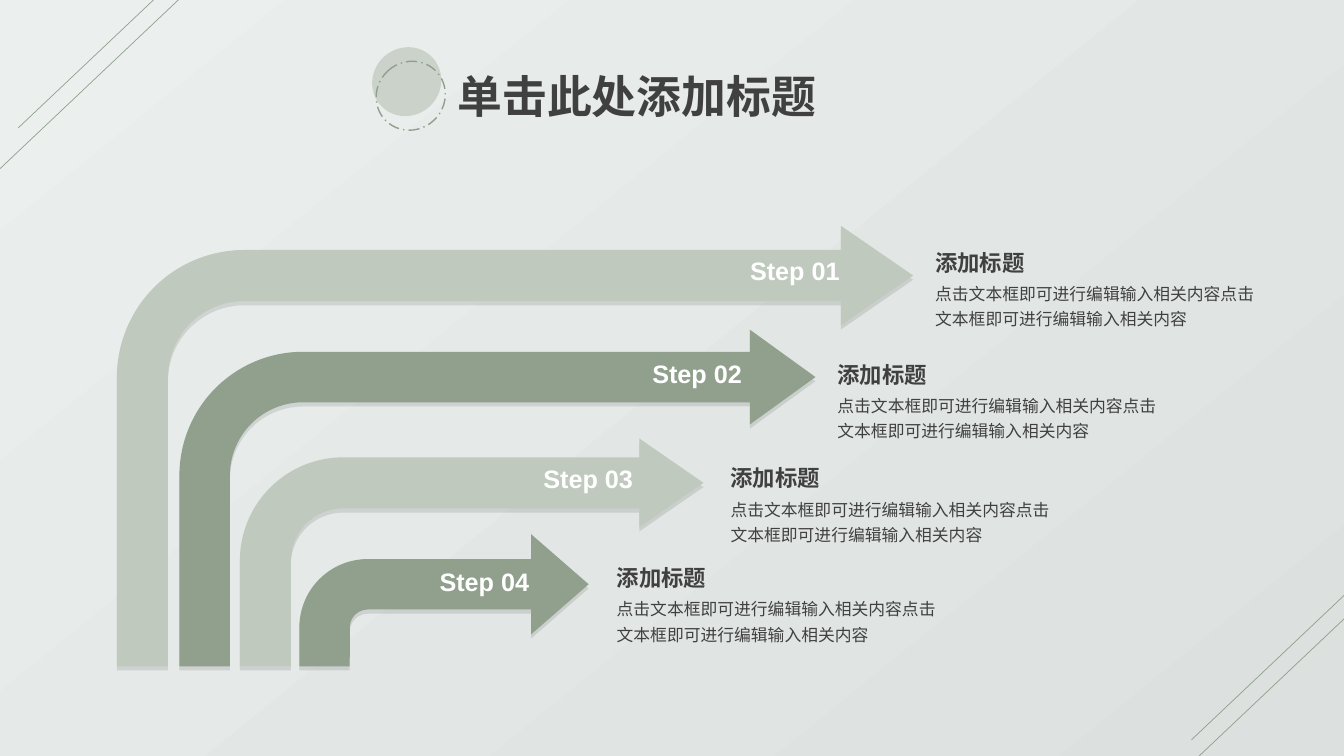
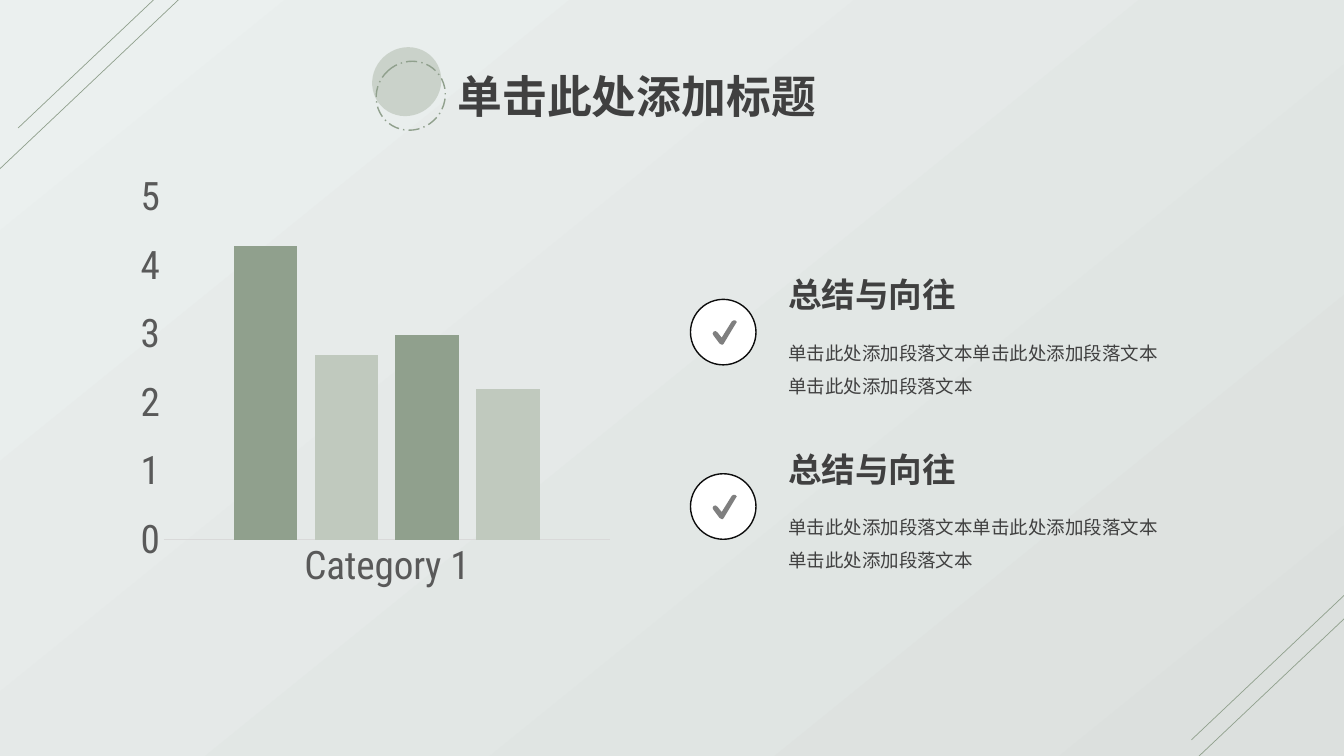
from dataclasses import dataclass
from itertools import cycle

from lxml.etree import SubElement as Sub
from pptx import Presentation
from pptx.chart.data import CategoryChartData as Data
from pptx.dml.color import RGBColor as RGB
from pptx.enum.chart import XL_CHART_TYPE as Kind, XL_TICK_MARK as Tick
from pptx.enum.dml import MSO_LINE as Dash
from pptx.enum.shapes import MSO_CONNECTOR as Link, MSO_SHAPE as Form
from pptx.enum.text import MSO_AUTO_SIZE as Auto, PP_ALIGN as Align
from pptx.oxml.ns import qn
from pptx.util import Emu, Pt

CELL = 91440  # side of a square grid cell: 75 rows on the slide
COLS, ROWS = 133.33, 75


@dataclass(frozen=True)
class Theme:
    dark: str = "90A08D"
    pale: str = "C0C9BE"
    ink: str = "404040"
    white: str = "FFFFFF"
    ring: str = "0D0D0D"
    mark: str = "7F7F7F"
    label: str = "595959"
    rule: str = "D9D9D9"
    glow: tuple = ("EBF0EF", "DCE0DE")
    cjk: str = "Noto Sans CJK SC"
    latin: str = "Arial"
    plot: str = "Roboto Condensed"
    title: float = 32
    chart: float = 28
    head: float = 24
    step: float = 18
    sub: float = 16
    para: float = 13.2
    note: float = 12


def put(item, **vals):
    for name, val in vals.items():
        setattr(item, name, val)


def grid(*cells):
    return [Emu(round(c * CELL)) for c in cells]


class Deck:
    def __init__(self, theme):
        self.theme = theme
        self.show = Presentation()
        put(self.show, slide_width=Emu(12192000), slide_height=Emu(6858000))

    # Slide frame: backdrop, corner lines, title
    def page(self, title):
        t = self.theme
        self.slide = self.show.slides.add_slide(self.show.slide_layouts[6])
        self.home = self.slide.shapes
        back = self.shape(Form.RECTANGLE, (0, 0, COLS, ROWS), t.white)
        back.fill.gradient()
        back.fill.gradient_angle = 360 - 51
        for stop, tone, pos in zip(back.fill.gradient_stops, t.glow, (0, 1)):
            stop.color.rgb = RGB.from_string(tone)
            stop.position = pos
        for x, y in (18, -0.3), (20.4, -4.9), (134.5, 60.3), (136.8, 55.8):
            self.line(x, y, x - 18.6, y + 17.6)
        self.text(title, (44.4, 6.3, 49.5, 6.4), t.title, bold=True, align=Align.JUSTIFY)
        self.group()
        disc = self.shape(Form.OVAL, (37, 4.6, 6.7, 7), t.pale)
        tone = disc._element.spPr.find(".//" + qn("a:srgbClr"))
        Sub(tone, qn("a:alpha"), val="74000")
        hoop = self.shape(Form.OVAL, (37.4, 6, 6.7, 7), None, t.dark)
        hoop.line.dash_style = Dash.LONG_DASH_DOT
        put(disc, rotation=47)
        put(hoop, rotation=47)
        self.leave()

    def group(self):
        self.home = self.slide.shapes.add_group_shape().shapes

    def leave(self):
        self.home = self.slide.shapes

    # Basic elements
    def paint(self, item, fill, edge=None):
        item.shadow.inherit = False
        for part, tone in (item.fill, fill), (item.line.fill, edge):
            if tone:
                part.solid()
                part.fore_color.rgb = RGB.from_string(tone)
            else:
                part.background()
        if edge:
            item.line.width = Pt(1)
        return item

    def shape(self, form, box, fill, edge=None):
        return self.paint(self.home.add_shape(form, *grid(*box)), fill, edge)

    def line(self, *ends):
        link = self.home.add_connector(Link.STRAIGHT, *grid(*ends))
        link.line.color.rgb = RGB.from_string(self.theme.dark)
        link.line.width = Pt(0.5)
        Sub(link._element.spPr, qn("a:effectLst"))

    def font(self, font, size, tone, face, bold=False):
        put(font, size=Pt(size), name=face, bold=bold)
        font.color.rgb = RGB.from_string(tone)

    def text(self, words, box, size, tone=None, face=None, bold=False,
             align=Align.LEFT, space=None, wrap=True, fill=None, pad=(1, 0.5)):
        face = face or self.theme.cjk
        item = self.home.add_textbox(*grid(*box))
        if fill:
            self.paint(item, fill)
        side, edge = grid(*pad)
        frame = item.text_frame
        put(frame, word_wrap=wrap, auto_size=Auto.SHAPE_TO_FIT_TEXT, margin_left=side,
            margin_right=side, margin_top=edge, margin_bottom=edge)
        para = frame.paragraphs[0]
        put(para, alignment=align, line_spacing=space)
        run = para.add_run()
        run.text = words
        self.font(run.font, size, tone or self.theme.ink, face, bold)
        Sub(run._r.get_or_add_rPr(), qn("a:ea"), typeface=face)

    # Bent arrow with a thin shadow below it
    def arrow(self, box, bends, tone):
        item = self.shape(Form.BENT_ARROW, box, tone)
        for i, bend in enumerate(bends):
            item.adjustments[i] = bend
        cast = Sub(item._element.spPr.find(qn("a:effectLst")), qn("a:outerShdw"),
                   blurRad="0", dist=str(Pt(3)), dir="5400000", algn="t", rotWithShape="0")
        Sub(Sub(cast, qn("a:srgbClr"), val="000000"), qn("a:alpha"), val="10000")

    # Ringed check mark with heading and paragraph
    def check(self, y, head, body):
        t, x = self.theme, 68.5
        self.group()
        self.shape(Form.OVAL, (x, y, 6.5, 6.5), t.white, t.ring)
        dots = [grid(x + dx, y + dy) for dx, dy in TICK]
        pen = self.home.build_freeform(*dots[0], scale=1.0)
        pen.add_line_segments(dots[1:], close=True)
        self.paint(pen.convert_to_shape(), t.mark)
        self.text(head, (77.2, y - 3, 18.7, 5), t.head, bold=True, wrap=False)
        self.text(body, (77.2, y + 2.6, 38.8, 7.6), t.para, space=1.5)
        self.leave()

    # Column chart with alternating tones
    def chart(self, box, cats, vals):
        t = self.theme
        data = Data()
        data.categories = cats
        for i, val in enumerate(vals, 1):
            data.add_series(f"Series {i}", [val])
        chart = self.home.add_chart(Kind.COLUMN_CLUSTERED, *grid(*box), data).chart
        put(chart, has_legend=False, has_title=False)
        self.font(chart.font, t.chart, t.label, t.plot)
        bars = chart.plots[0]
        put(bars, gap_width=219, overlap=-27, vary_by_categories=False)
        for row, tone in zip(bars.series, cycle((t.dark, t.pale))):
            row.format.fill.solid()
            row.format.fill.fore_color.rgb = RGB.from_string(tone)
        for axis in chart.category_axis, chart.value_axis:
            put(axis, has_major_gridlines=False, major_tick_mark=Tick.NONE,
                minor_tick_mark=Tick.NONE)
            self.font(axis.tick_labels.font, t.chart, t.label, t.plot)
        put(chart.value_axis, minimum_scale=0, maximum_scale=5, major_unit=1)
        chart.value_axis.format.line.fill.background()
        base = chart.category_axis.format.line
        base.color.rgb = RGB.from_string(t.rule)
        base.width = Pt(0.75)
        # Fixed inner plot area
        area = chart._chartSpace.find(".//" + qn("c:plotArea"))
        for old in area.findall(qn("c:layout")):
            area.remove(old)
        frame = Sub(area, qn("c:layout"))
        area.insert(0, frame)
        spot = Sub(frame, qn("c:manualLayout"))
        for tag, val in PLOT.items():
            Sub(spot, qn("c:" + tag), val=str(val))


TICK = [(3.1, 4.5), (2.9, 4.4), (2.3, 3.6), (2.2, 3.4), (2.3, 3.2), (2.5, 3.15),
        (2.7, 3.3), (3.1, 3.8), (4.1, 2.2), (4.25, 2.1), (4.45, 2.1), (4.6, 2.25),
        (4.5, 2.4), (3.3, 4.4), (3.2, 4.5)]
PLOT = dict(layoutTarget="inner", xMode="edge", yMode="edge",
            x=0.175, y=0.108, w=0.82, h=0.703)
# Arrow left, top, width and bends; label and note corners
STEPS = [
    (11.6, 22.4, 79, (0.116, 0.113, 0.164, 0.289), (55.6, 24.9), (91.8, 24.2)),
    (17.8, 32.7, 63.1, (0.15, 0.141, 0.195, 0.367), (45.9, 35.1), (82.1, 35.3)),
    (23.8, 43.5, 46, (0.224, 0.195, 0.282, 0.454), (35.1, 45.6), (71.5, 45.6)),
    (29.7, 53, 28.7, (0.382, 0.379, 0.435, 0.518), (24.8, 55.8), (60.2, 55.5)),
]
FOOT = 66.1  # shared base line of the arrows
TITLE = "单击此处添加标题"


def main():
    t = Theme()
    deck = Deck(t)

    # Slide 1: four nested steps
    deck.page(TITLE)
    tones = cycle((t.pale, t.dark))
    for n, (x, y, wide, bends, tag, note) in enumerate(STEPS, 1):
        tone = next(tones)
        deck.arrow((x, y, wide, FOOT - y), bends, tone)
        deck.text(f"Step {n:02}", (*tag, 28.4, 3.8), t.step, t.white, t.latin, True,
                  Align.RIGHT, fill=tone if n in (2, 3) else None, pad=(0.7, 0.4))
        left, top = note
        deck.text("点击文本框即可进行编辑输入相关内容点击文本框即可进行编辑输入相关内容",
                  (left, top + 2.95, 34.4, 6.1), t.note, space=1.25)
        deck.text("添加标题", (left, top, 26, 3.7), t.sub, bold=True)

    # Slide 2: chart and two conclusions
    deck.page(TITLE)
    deck.chart((6.8, 14.4, 54, 48.3), ["Category 1"], (4.3, 2.7, 3, 2.2))
    for y in 29.7, 47:
        deck.check(y, "总结与向往", "单击此处添加段落文本" * 3)

    deck.show.save("out.pptx")


if __name__ == "__main__":
    main()
